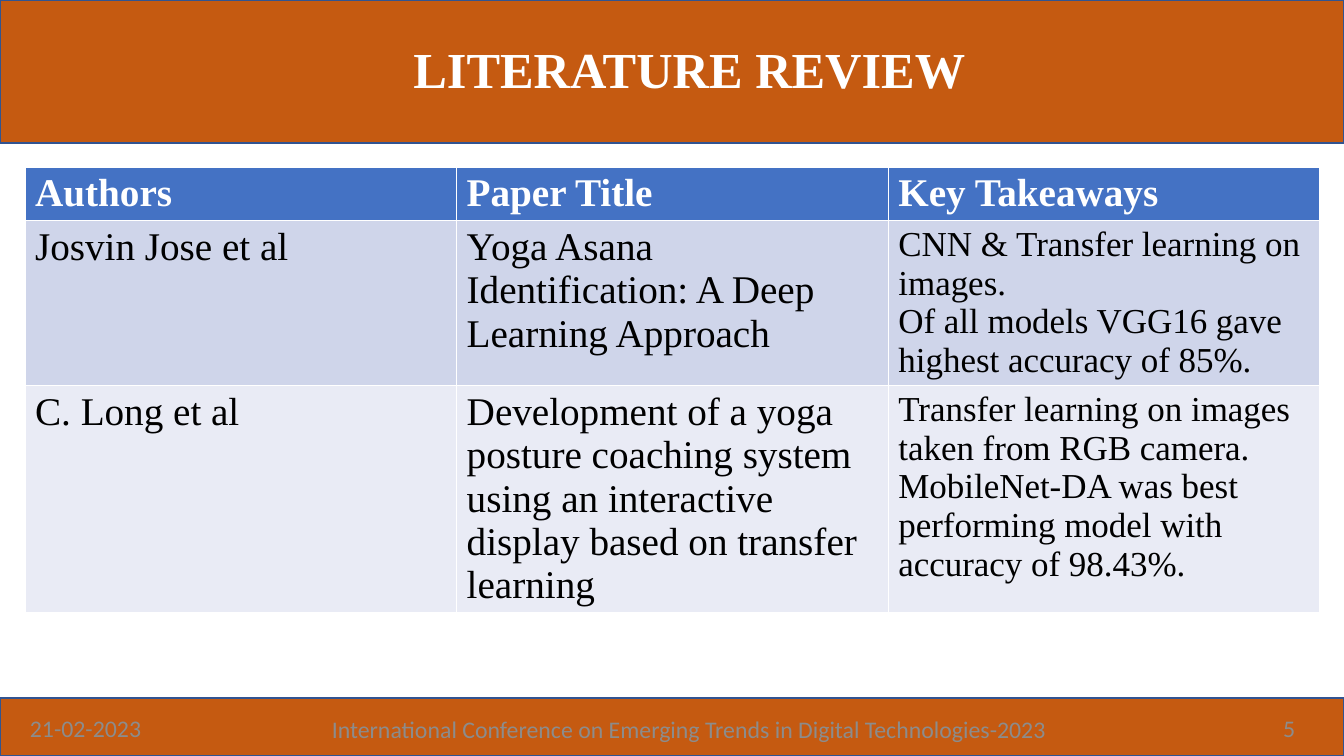
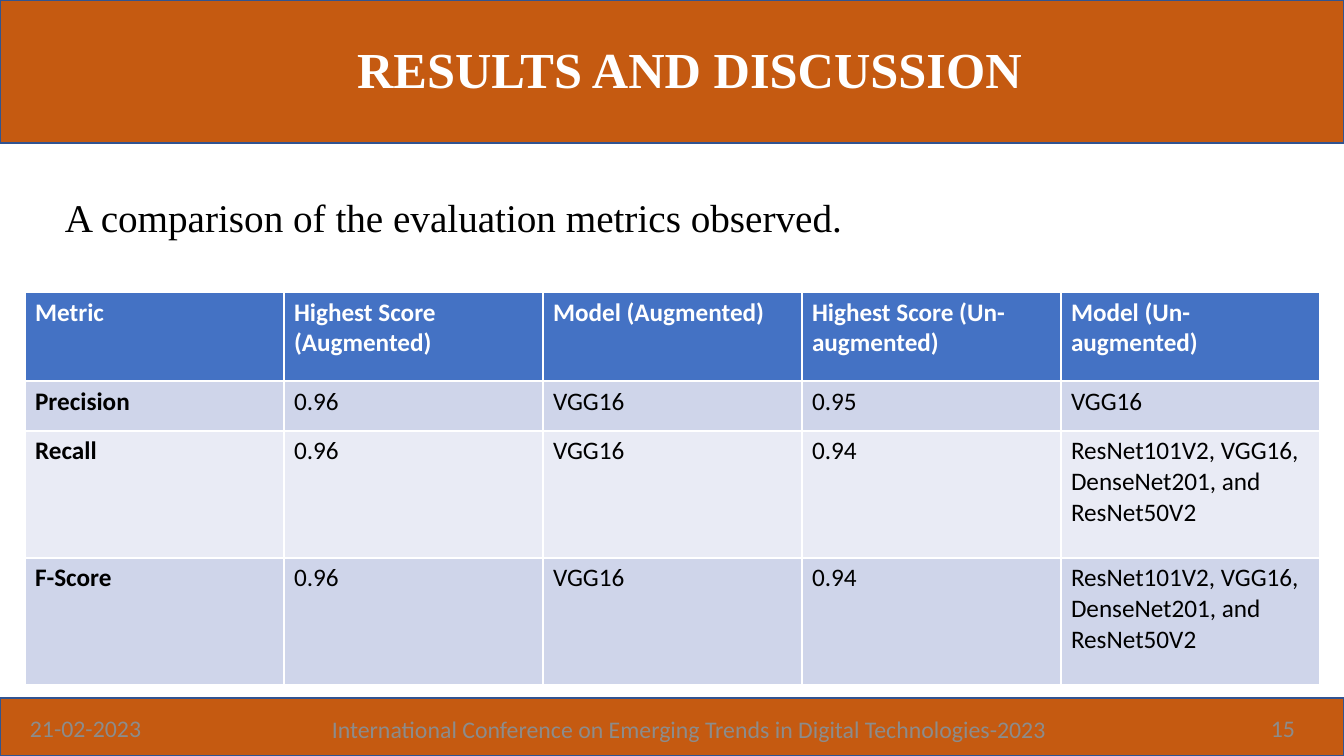
import pptx
import pptx.util
import pptx.dml.color
import pptx.enum.text
import pptx.enum.shapes

# Shared look
SCALE = 914400 / 100.8
WIDE, HIGH = 1344, 756
SERIF, SANS = "Times New Roman", "Calibri"
RUST, EDGE, BLUE, GREY = "C55A11", "325491", "4472C4", "8C8C8C"
STRIPES = ["CFD5EA", "E9EBF5"]
WHITE, BLACK = "FFFFFF", "000000"
BANDS = [(0, 0, WIDE, 143), (0, 698, WIDE, 58)]
TITLE = (110, 16, 1159, 112)
FOOT = [
    ("21-02-2023", (20, 708, 179, 40), "LEFT"),
    ("International Conference on Emerging Trends in Digital Technologies-2023",
     (239, 709, 900, 40), "CENTER"),
]
PAGE = (1166, 708, 139, 40)
LEFT, SPAN = 25, 1295

# Content
NETS = "ResNet101V2, VGG16, DenseNet201, and ResNet50V2"
SLIDES = [
    {
        "title": "LITERATURE REVIEW", "page": "5",
        "top": 167, "font": SERIF, "sizes": [28, 28, 25], "head": 28,
        "bold": False, "heights": [53, 165, 227],
        "rows": [
            ["Authors", "Paper Title", "Key Takeaways"],
            ["Josvin Jose et al",
             "Yoga Asana Identification: A Deep Learning Approach",
             "CNN & Transfer learning on images.\n"
             "Of all models VGG16 gave highest accuracy of 85%."],
            ["C. Long et al",
             "Development of a yoga posture coaching system using an "
             "interactive display based on transfer learning",
             "Transfer learning on images taken from RGB camera.\n"
             "MobileNet-DA was best performing model with accuracy of 98.43%."],
        ],
    },
    {
        "title": "RESULTS AND DISCUSSION", "page": "15",
        "lead": ("A comparison of the evaluation metrics observed.",
                 (55, 188, 804, 58)),
        "top": 292, "font": SANS, "sizes": [18] * 5, "head": 18,
        "bold": True, "heights": [89, 50, 127, 127],
        "rows": [
            ["Metric", "Highest Score (Augmented)", "Model (Augmented)",
             "Highest Score (Un-augmented)", "Model (Un-augmented)"],
            ["Precision", "0.96", "VGG16", "0.95", "VGG16"],
            ["Recall", "0.96", "VGG16", "0.94", NETS],
            ["F-Score", "0.96", "VGG16", "0.94", NETS],
        ],
    },
]


def px(n):
    return pptx.util.Emu(round(n * SCALE))


def box(rect):
    return [px(n) for n in rect]


def paint(hue):
    return pptx.dml.color.RGBColor.from_string(hue)


def write(frame, text, font=SERIF, size=28, hue=BLACK, bold=False,
          align="LEFT", anchor=None, space=None):
    """Fill a text frame, one paragraph per line of text."""
    frame.word_wrap = True
    if anchor:
        frame.vertical_anchor = pptx.enum.text.MSO_ANCHOR[anchor]
    for i, line in enumerate(text.split("\n")):
        para = frame.add_paragraph() if i else frame.paragraphs[0]
        para.alignment = pptx.enum.text.PP_ALIGN[align]
        if space:
            para.line_spacing = space
        run = para.add_run()
        run.text = line
        run.font.name, run.font.size = font, pptx.util.Pt(size)
        run.font.bold, run.font.color.rgb = bold, paint(hue)


def label(slide, text, rect, **style):
    write(slide.shapes.add_textbox(*box(rect)).text_frame, text, **style)


def dress(layout, slide):
    """Give the layout its bands and title place; slide serves to draw them."""
    for i, rect in enumerate(BANDS):
        band = slide.shapes.add_shape(
            pptx.enum.shapes.MSO_SHAPE.RECTANGLE, *box(rect))
        band.shadow.inherit = False
        band.fill.solid()
        band.fill.fore_color.rgb = paint(RUST)
        band.line.color.rgb = paint(EDGE)
        band.line.width = pptx.util.Pt(1)
        band.element.nvSpPr.cNvPr.id = 20 + i
        layout.shapes.element.insert(2 + i, band.element)
    head = layout.placeholders[0]
    head.left, head.top, head.width, head.height = box(TITLE)


def grid(slide, data):
    rows, heights = data["rows"], data["heights"]
    count = len(rows[0])
    table = slide.shapes.add_table(
        len(rows), count, *box((LEFT, data["top"], SPAN, sum(heights)))).table
    for col in table.columns:
        col.width = px(SPAN / count)
    for r, texts in enumerate(rows):
        table.rows[r].height = px(heights[r])
        for c, text in enumerate(texts):
            cell = table.cell(r, c)
            cell.fill.solid()
            cell.fill.fore_color.rgb = paint(STRIPES[(r - 1) % 2] if r else BLUE)
            write(cell.text_frame, text, font=data["font"],
                  size=data["sizes"][c] if r else data["head"],
                  hue=BLACK if r else WHITE,
                  bold=r == 0 or (c == 0 and data["bold"]))


def main():
    deck = pptx.Presentation()
    deck.slide_width, deck.slide_height = px(WIDE), px(HIGH)
    layout = deck.slide_layouts[5]
    for i, data in enumerate(SLIDES):
        slide = deck.slides.add_slide(layout)
        if i == 0:
            dress(layout, slide)
        head = slide.shapes.title.text_frame
        head.auto_size = pptx.enum.text.MSO_AUTO_SIZE.NONE
        write(head, data["title"], size=36, hue=WHITE, bold=True,
              align="CENTER", anchor="MIDDLE", space=0.9)
        grid(slide, data)
        # Footer
        for text, rect, align in FOOT + [(data["page"], PAGE, "RIGHT")]:
            label(slide, text, rect, font=SANS, size=17, hue=GREY,
                  align=align, anchor="MIDDLE")
        if "lead" in data:
            label(slide, *data["lead"])
    deck.save("out.pptx")


if __name__ == "__main__":
    main()
